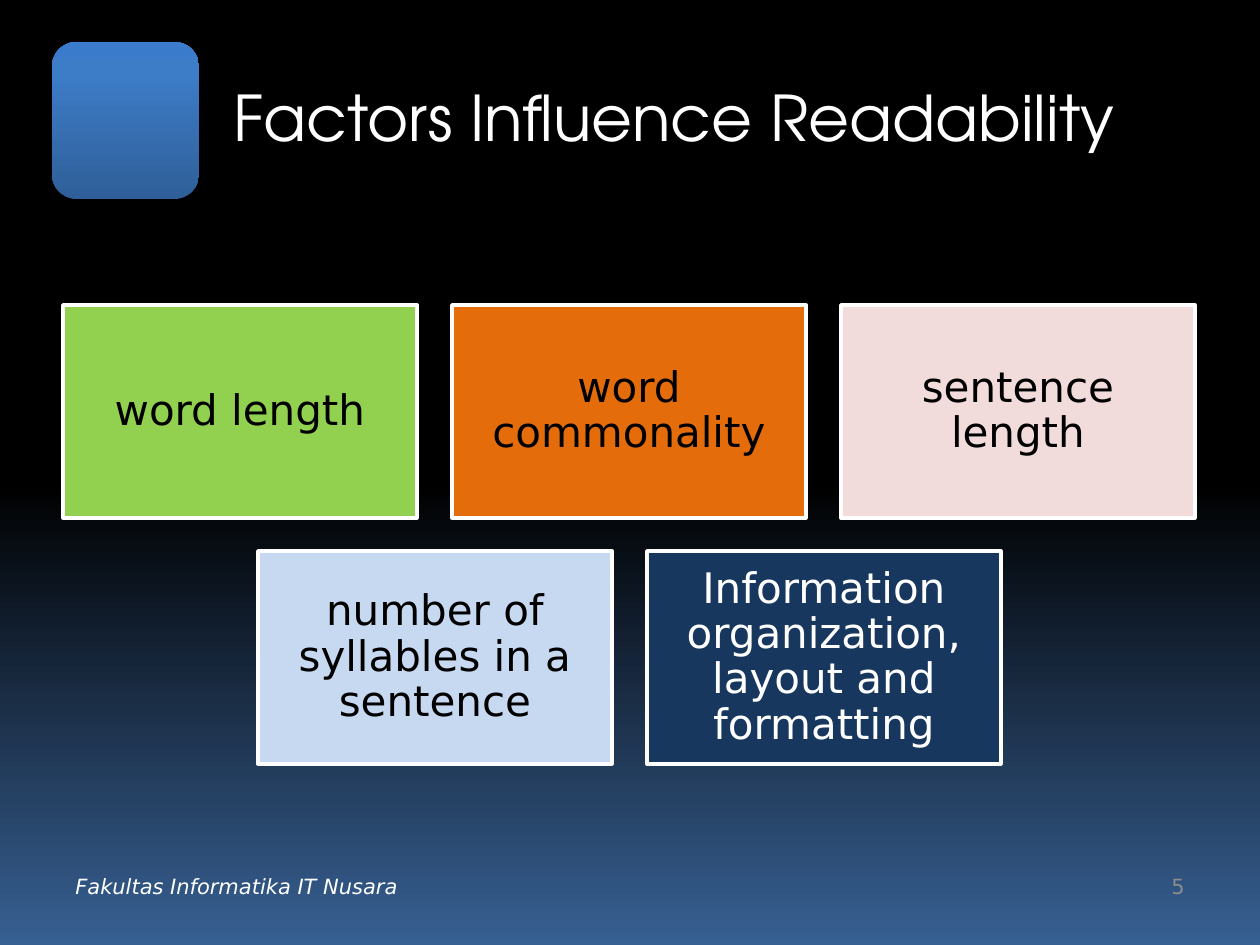
"""Builds a slide that shows five factors of readability as centred rows of cards."""
import copy

import pptx
import pptx.dml.color
import pptx.enum.shapes
import pptx.enum.text
import pptx.util

TITLE = "Factors Influence Readability"
FOOTER = "Fakultas Informatika IT Nusara"
PAGE = "5"
ROWS = [
    [("word length", "92D050", "000000"),
     ("word commonality", "E46C0A", "000000"),
     ("sentence length", "F2DCDB", "000000")],
    [("number of syllables in a sentence", "C6D9F1", "000000"),
     ("Information organization, layout and formatting", "17375E", "FFFFFF")],
]
THEME = {
    "backdrop": [(51, "000000"), (100, "376092")],
    "badge": [(0, "2F5F99"), (80, "3D7CC7"), (100, "3A7CCB")],
    "light": "FFFFFF", "muted": "8C8C8C",
    "head_font": "TeX Gyre Adventor", "body_font": "DejaVu Sans",
    "title": 36, "card": 24, "small": 12,
}
PX = 914400 // 126
CARD_W, CARD_H, GAP_X, GAP_Y = 354, 213, 35, 33
GRID_TOP, GRID_CENTER = 305, 630
ALIGN = pptx.enum.text.PP_ALIGN
SHAPE = pptx.enum.shapes.MSO_SHAPE


def px(*lengths):
    return [pptx.util.Emu(n * PX) for n in lengths]


def rgb(value):
    return pptx.dml.color.RGBColor.from_string(value)


def set_gradient(fill, element, stops, angle):
    fill.gradient()
    fill.gradient_angle = angle
    gs_list = element.xpath(".//a:gsLst")[0]
    for _ in stops[2:]:
        gs_list.append(copy.deepcopy(gs_list[-1]))
    for stop, (position, color) in zip(fill.gradient_stops, stops):
        stop.position = position / 100
        stop.color.rgb = rgb(color)


def set_text(sp, text, size, color, font=THEME["body_font"], align=ALIGN.LEFT, italic=False):
    tf = sp.text_frame
    tf.word_wrap = True
    tf.vertical_anchor = pptx.enum.text.MSO_ANCHOR.MIDDLE
    tf.text = text
    p = tf.paragraphs[0]
    p.alignment = align
    r = p.runs[0]
    r.font.name = font
    r.font.size = pptx.util.Pt(size)
    r.font.italic = italic
    r.font.color.rgb = rgb(color)
    return tf


def add_label(s, box, *args, **options):
    set_text(s.shapes.add_textbox(*px(*box)), *args, **options)


def add_card(s, left, top, text, fill, color):
    sp = s.shapes.add_shape(SHAPE.RECTANGLE, *px(left, top, CARD_W, CARD_H))
    sp.shadow.inherit = False
    sp.fill.solid()
    sp.fill.fore_color.rgb = rgb(fill)
    sp.line.color.rgb = rgb(THEME["light"])
    sp.line.width = pptx.util.Pt(2)
    tf = set_text(sp, text, THEME["card"], color, align=ALIGN.CENTER)
    tf.margin_left = tf.margin_right = pptx.util.Inches(0.1)
    tf.margin_top = tf.margin_bottom = pptx.util.Inches(0.1)
    tf.paragraphs[0].line_spacing = 0.9


def main():
    prs = pptx.Presentation()
    prs.slide_width, prs.slide_height = px(1260, 945)
    s = prs.slides.add_slide(prs.slide_layouts[6])
    set_gradient(s.background.fill, s.element, THEME["backdrop"], 270)

    badge = s.shapes.add_shape(SHAPE.ROUNDED_RECTANGLE, *px(52, 42, 147, 157))
    badge.shadow.inherit = False
    badge.line.fill.background()
    set_gradient(badge.fill, badge.element, THEME["badge"], 90)

    add_label(s, (221, 38, 976, 157), TITLE, THEME["title"], THEME["light"],
              font=THEME["head_font"])
    for i, row in enumerate(ROWS):
        width = len(row) * (CARD_W + GAP_X) - GAP_X
        left = GRID_CENTER - width // 2 - 1
        for j, card in enumerate(row):
            add_card(s, left + j * (CARD_W + GAP_X), GRID_TOP + i * (CARD_H + GAP_Y), *card)
    add_label(s, (63, 861, 399, 50), FOOTER, THEME["small"], THEME["light"], italic=True)
    add_label(s, (903, 861, 294, 50), PAGE, THEME["small"], THEME["muted"], align=ALIGN.RIGHT)
    prs.save("out.pptx")


if __name__ == "__main__":
    main()
